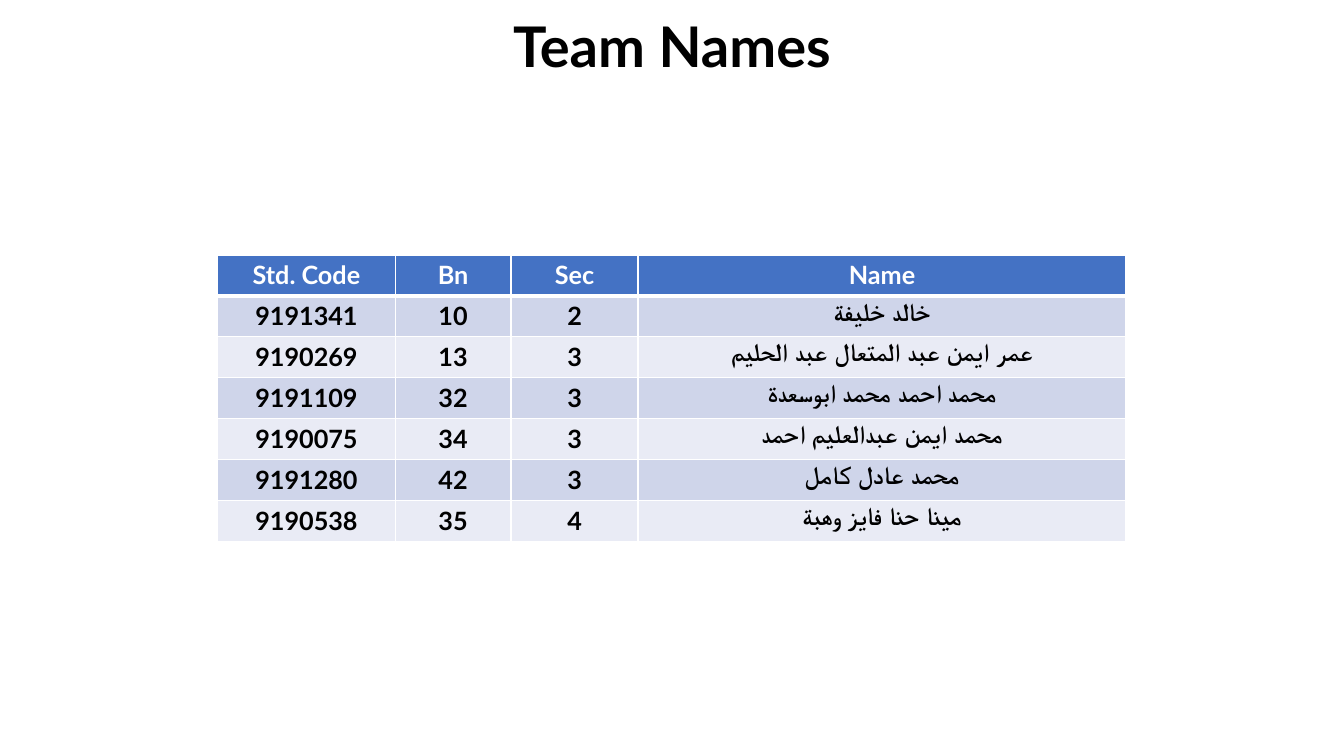
import dataclasses

import lxml.etree
import pptx
import pptx.dml.color
import pptx.enum.text
import pptx.oxml.ns
import pptx.util

COLORS = {
    "header": "4472C4",
    "odd": "CFD5EA",
    "even": "E9EBF5",
    "rule": "FFFFFF",
    "light": "FFFFFF",
    "dark": "000000",
}
FONT = "Lato"
SLIDE_WIDTH = pptx.util.Inches(13.33)
SLIDE_HEIGHT = pptx.util.Inches(7.5)

# Table grid, in percent of the slide's size
LEFT, TOP, ROW_HEIGHT = 16.2, 33.73, 5.41
THIN, THICK = 1, 3


@dataclasses.dataclass(frozen=True)
class Column:
    heading: str
    width: float


@dataclasses.dataclass(frozen=True)
class Member:
    code: str
    bench: str
    section: str
    name: str


COLUMNS = [
    Column("Std. Code", 13.2),
    Column("Bn", 8.63),
    Column("Sec", 9.45),
    Column("Name", 36.31),
]
MEMBERS = [
    Member("9191341", "10", "2", "خالد خليفة"),
    Member("9190269", "13", "3", "عمر ايمن عبد المتعال عبد الحليم"),
    Member("9191109", "32", "3", "محمد احمد محمد ابوسعدة"),
    Member("9190075", "34", "3", "محمد ايمن عبدالعليم احمد"),
    Member("9191280", "42", "3", "محمد عادل كامل"),
    Member("9190538", "35", "4", "مينا حنا فايز وهبة"),
]


def across(percent: float) -> int:
    return round(SLIDE_WIDTH * percent / 100)


def down(percent: float) -> int:
    return round(SLIDE_HEIGHT * percent / 100)


def rgb(name: str) -> pptx.dml.color.RGBColor:
    return pptx.dml.color.RGBColor.from_string(COLORS[name])


def write(frame, text: str, *, size: float, color: str,
          spacing: float = 1.0, right_to_left: bool = False) -> None:
    """Put one bold, centred paragraph into a text frame."""
    para = frame.paragraphs[0]
    para.alignment = pptx.enum.text.PP_ALIGN.CENTER
    para.line_spacing = spacing
    if right_to_left:
        para._p.get_or_add_pPr().set("rtl", "1")
    span = para.add_run()
    span.text = text
    span.font.name = FONT
    span.font.size = pptx.util.Pt(size)
    span.font.bold = True
    span.font.color.rgb = rgb(color)


def add_borders(cell, *, top: float, bottom: float) -> None:
    properties = cell._tc.get_or_add_tcPr()
    widths = {"lnL": THIN, "lnR": THIN, "lnT": top, "lnB": bottom}
    for tag, width in widths.items():
        line = lxml.etree.SubElement(
            properties, pptx.oxml.ns.qn(f"a:{tag}"), w=str(pptx.util.Pt(width)))
        fill = lxml.etree.SubElement(line, pptx.oxml.ns.qn("a:solidFill"))
        lxml.etree.SubElement(
            fill, pptx.oxml.ns.qn("a:srgbClr"), val=COLORS["rule"])


def add_title(page, text: str) -> None:
    box = page.shapes.title
    box.left, box.top = across(LEFT), down(-1.73)
    box.width, box.height = across(67.59), down(16.53)
    box.text_frame.word_wrap = True
    box.text_frame.vertical_anchor = pptx.enum.text.MSO_ANCHOR.MIDDLE
    write(box.text_frame, text, size=40, color="dark", spacing=0.9)


def add_team_table(page) -> None:
    rows = [tuple(column.heading for column in COLUMNS)]
    rows += [dataclasses.astuple(member) for member in MEMBERS]
    width = sum(column.width for column in COLUMNS)
    table = page.shapes.add_table(
        len(rows), len(COLUMNS), across(LEFT), down(TOP),
        across(width), down(ROW_HEIGHT * len(rows))).table
    for index, column in enumerate(COLUMNS):
        table.columns[index].width = across(column.width)

    for row_index, texts in enumerate(rows):
        table.rows[row_index].height = down(ROW_HEIGHT)
        is_header = row_index == 0
        band = "header" if is_header else "odd" if row_index % 2 else "even"
        for column_index, text in enumerate(texts):
            cell = table.cell(row_index, column_index)
            add_borders(cell,
                        top=THICK if row_index == 1 else THIN,
                        bottom=THICK if is_header else THIN)
            cell.fill.solid()
            cell.fill.fore_color.rgb = rgb(band)
            is_name = COLUMNS[column_index].heading == "Name"
            write(cell.text_frame, text, size=18,
                  color="light" if is_header else "dark",
                  right_to_left=is_name and not is_header)


def main() -> None:
    deck = pptx.Presentation()
    deck.slide_width, deck.slide_height = SLIDE_WIDTH, SLIDE_HEIGHT
    page = deck.slides.add_slide(deck.slide_layouts.get_by_name("Title Only"))
    add_title(page, "Team Names")
    add_team_table(page)
    deck.save("out.pptx")


if __name__ == "__main__":
    main()
